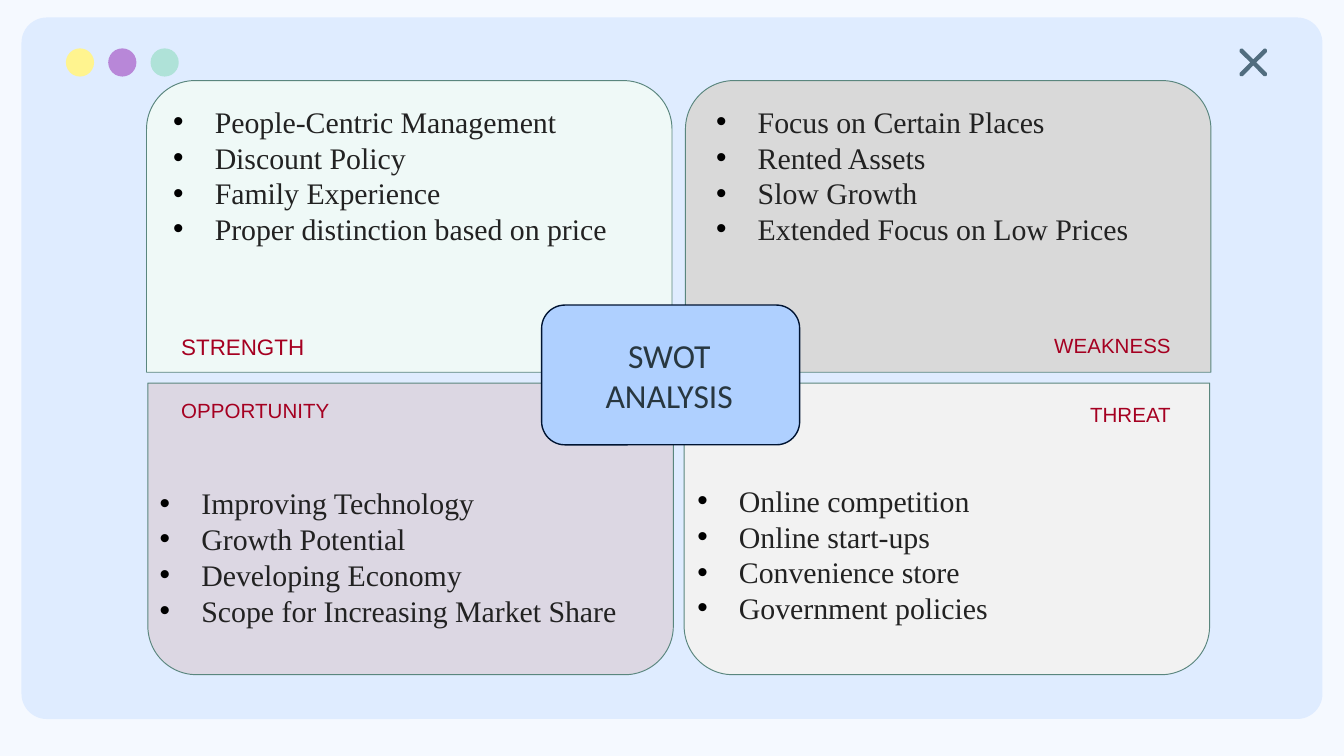
from pptx import Presentation
from pptx.dml.color import RGBColor
from pptx.enum import shapes, text
from pptx.oxml import parse_xml
from pptx.oxml.ns import nsdecls
from pptx.util import Inches, Pt

THEME = {
    "back": "F5F9FF", "panel": "DFECFF", "cross": "516D7F", "edge": "5A867E",
    "hub": "AFD0FF", "rim": "001432", "title": "283740", "body": "222222",
    "label": "A50021", "dot": "000000",
    "sizes": {"title": 18, "body": 16},
    "fonts": {"title": "Calibri", "body": "Times New Roman", "label": "Arial"},
}
DOTS = ["FFF48F", "B887D8", "AFE2D8"]
TITLE = ["SWOT", "ANALYSIS"]
CARDS = [
    {"name": "STRENGTH", "size": 12, "fill": "EFF9F7", "spot": (1.09, 0.6),
     "tag": (1.25, 2.43, 2.99, 0.3), "list": (1.19, 0.72, 3.7, 1.38),
     "items": ["People-Centric Management", "Discount Policy",
               "Family Experience", "Proper distinction based on price"]},
    {"name": "THREAT", "size": 11, "fill": "F2F2F2", "spot": (5.09, 2.85),
     "tag": (6.09, 2.94, 2.72, 0.29), "list": (5.09, 3.54, 3.63, 1.21),
     "items": ["Online competition", "Online start-ups",
               "Convenience store", "Government policies"]},
    {"name": "OPPORTUNITY", "size": 11, "fill": "DCD7E3", "spot": (1.1, 2.85),
     "tag": (1.25, 2.91, 2.99, 0.29), "list": (1.09, 3.56, 3.91, 1.38),
     "items": ["Improving Technology", "Growth Potential",
               "Developing Economy", "Scope for Increasing Market Share"]},
    {"name": "WEAKNESS", "size": 11, "fill": "D9D9D9", "spot": (5.1, 0.6),
     "tag": (6.09, 2.43, 2.72, 0.29), "list": (5.23, 0.72, 3.63, 1.41),
     "items": ["Focus on Certain Places", "Rented Assets",
               "Slow Growth", "Extended Focus on Low Prices"]},
]
CARD = (3.91, 2.17)
MIDDLE = 5
KIND = shapes.MSO_SHAPE
ALIGN = text.PP_ALIGN


def color(name):
    return RGBColor.from_string(THEME.get(name, name))


def draw(slide, kind, box, fill, line=None, width=0, adjust=None):
    shape = slide.shapes.add_shape(kind, *map(Inches, box))
    shape.shadow.inherit = False
    shape.fill.solid()
    shape.fill.fore_color.rgb = color(fill)
    if line:
        shape.line.color.rgb = color(line)
        shape.line.width = Pt(width)
    else:
        shape.line.fill.background()
    if adjust is not None:
        shape.adjustments[0] = adjust
    return shape


def bullet(para):
    props = para._p.get_or_add_pPr()
    props.set("marL", str(Inches(0.31)))
    props.set("indent", str(Inches(-0.31)))
    for xml in (
        f'<a:buClr {nsdecls("a")}><a:srgbClr val="{THEME["dot"]}"/></a:buClr>',
        f'<a:buFont {nsdecls("a")} typeface="Arial"/>',
        f'<a:buChar {nsdecls("a")} char="•"/>',
    ):
        props.append(parse_xml(xml))


def write(slide, box, lines, role, align=ALIGN.LEFT, size=None, listed=False):
    frame = slide.shapes.add_textbox(*map(Inches, box)).text_frame
    frame.word_wrap = True
    frame.auto_size = text.MSO_AUTO_SIZE.SHAPE_TO_FIT_TEXT
    for index, line in enumerate(lines):
        para = frame.add_paragraph() if index else frame.paragraphs[0]
        para.alignment = align
        if listed:
            bullet(para)
        run = para.add_run()
        run.text = line
        run.font.name = THEME["fonts"][role]
        run.font.size = Pt(size or THEME["sizes"][role])
        run.font.color.rgb = color(role)


def main():
    deck = Presentation()
    deck.slide_width = Inches(10)
    deck.slide_height = deck.slide_width * 9 // 16
    slide = deck.slides.add_slide(deck.slide_layouts[6])
    slide.background.fill.solid()
    slide.background.fill.fore_color.rgb = color("back")

    draw(slide, KIND.ROUNDED_RECTANGLE, (0.16, 0.13, 9.68, 5.22), "panel",
         adjust=0.036)
    for index, fill in enumerate(DOTS):
        draw(slide, KIND.OVAL, (0.49 + index * 0.63 / 2, 0.36, 0.21, 0.21), fill)
    draw(slide, KIND.MATH_MULTIPLY, (9.15, 0.29, 0.35, 0.35), "cross",
         "cross", 1.5, 0.031)

    for card in CARDS:
        shape = draw(slide, KIND.ROUND_2_SAME_RECTANGLE, card["spot"] + CARD,
                     card["fill"], "edge", 0.5)
        shape.rotation = 180 if card["spot"][1] > 2 else 0

    draw(slide, KIND.ROUNDED_RECTANGLE, (4.03, 2.27, 1.92, 1.04), "hub",
         "rim", 0.75)
    write(slide, (3.98, 2.44, 2, 0.71), TITLE, "title", ALIGN.CENTER)

    for card in CARDS:
        side = ALIGN.RIGHT if card["spot"][0] > MIDDLE else ALIGN.LEFT
        write(slide, card["list"], card["items"], "body", listed=True)
        write(slide, card["tag"], [card["name"]], "label", side, card["size"])

    deck.save("out.pptx")


if __name__ == "__main__":
    main()
